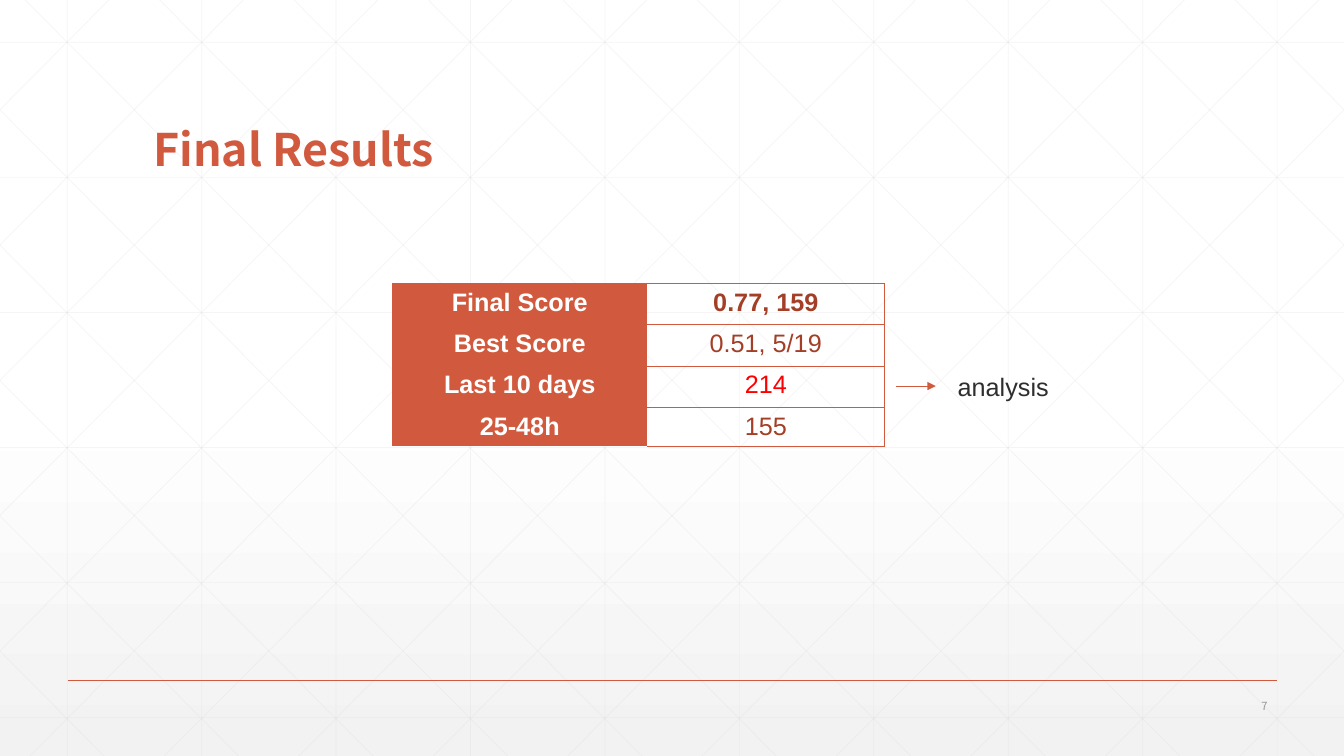
import copy

import lxml.etree
import pptx
import pptx.dml.color
import pptx.enum.dml
import pptx.enum.shapes
import pptx.enum.text
import pptx.oxml.ns
import pptx.util

Inches = pptx.util.Inches
Pt = pptx.util.Pt
qn = pptx.oxml.ns.qn
ALIGN = pptx.enum.text.PP_ALIGN
ANCHOR = pptx.enum.text.MSO_ANCHOR

WIDTH, HEIGHT = 13.33, 7.5
COLORS = {
    "accent": "D15A3E",
    "value": "A43F27",
    "alert": "FF0000",
    "text": "2D2E2D",
    "muted": "959795",
    "grid": "D9D9D9",
    "white": "FFFFFF",
    "shade": "F2F2F2",
}
BODY_FONT = "Arial"
HEADING_FONT = "Noto Sans CJK TC"
PLAIN_TABLE_STYLE = "{2D5ABB26-0587-4C30-8999-92F81FD0307C}"
RESULTS = [
    ("Final Score", "0.77, 159", "value", True),
    ("Best Score", "0.51, 5/19", "value", False),
    ("Last 10 days", "214", "alert", False),
    ("25-48h", "155", "value", False),
]


def rgb(name):
    """Return the named colour."""
    return pptx.dml.color.RGBColor.from_string(COLORS[name])


def add_run(paragraph, text, size, color, font=BODY_FONT, bold=False):
    """Add one formatted run."""
    run = paragraph.add_run()
    run.text = text
    run.font.name = font
    run.font.size = Pt(size)
    run.font.bold = bold
    run.font.color.rgb = rgb(color)
    properties = run.font._element
    lxml.etree.SubElement(properties, qn("a:ea")).set("typeface", font)


def add_line(slide, start, end, color, width, opacity=None, arrow=False):
    """Draw a straight line, optionally see-through or with an arrowhead."""
    line = slide.shapes.add_connector(
        pptx.enum.shapes.MSO_CONNECTOR.STRAIGHT,
        *(Inches(value) for value in (*start, *end)))
    line.line.color.rgb = rgb(color)
    line.line.width = Pt(width)
    properties = line.element.spPr
    if opacity is not None:
        fill_color = properties.find(".//" + qn("a:srgbClr"))
        alpha = lxml.etree.SubElement(fill_color, qn("a:alpha"))
        alpha.set("val", str(opacity * 1000))
    if arrow:
        outline = properties.find(qn("a:ln"))
        lxml.etree.SubElement(outline, qn("a:tailEnd")).set("type", "triangle")
    lxml.etree.SubElement(properties, qn("a:effectLst"))


def add_background(slide):
    """Fill the slide with white that fades to grey at the bottom."""
    fill = slide.background.fill
    fill.gradient()
    fill.gradient_angle = 270
    first = slide.element.find(".//" + qn("a:gs"))
    first.addnext(copy.deepcopy(first))
    stops = [(0, "white"), (0.53, "white"), (1, "shade")]
    for stop, (position, color) in zip(fill.gradient_stops, stops):
        stop.position = position
        stop.color.rgb = rgb(color)


def add_grid(slide, width, height):
    """Draw the faint lattice of uprights, levels and mirrored diagonals."""
    step, run = 4 / 3, 7.45
    lines = [((step * (i + 0.5), 0), (step * (i + 0.5), height))
             for i in range(10)]
    lines += [((0, 0.42 + 1.34 * i), (width, 0.42 + 1.34 * i))
              for i in range(6)]
    for i in range(-5, 10):
        origin = 0.25 + step * i
        left, right = max(origin, 0), min(origin + run, width)
        top, bottom = ((x - origin) * height / run for x in (left, right))
        lines.append(((left, top), (right, bottom)))
        lines.append(((width - left, top), (width - right, bottom)))
    for start, end in lines:
        add_line(slide, start, end, "grid", 0.5, opacity=25)


def add_title(slide, left, top, width, height):
    """Place the title placeholder in front of the lattice."""
    title = slide.shapes.title
    title.left, title.top = Inches(left), Inches(top)
    title.width, title.height = Inches(width), Inches(height)
    slide.shapes.element.append(title.element)
    title.text_frame.vertical_anchor = ANCHOR.BOTTOM
    paragraph = title.text_frame.paragraphs[0]
    paragraph.alignment = ALIGN.LEFT
    paragraph.line_spacing = 0.9
    add_run(paragraph, "Final Results", 32, "accent", HEADING_FONT, True)


def add_borders(cell, sides):
    """Give the cell thin accent borders on the sides, in L, R, T, B order."""
    properties = cell._tc.get_or_add_tcPr()
    for index, side in enumerate(sides):
        border = lxml.etree.Element(qn("a:ln" + side), w=str(Pt(0.5)))
        fill = lxml.etree.SubElement(border, qn("a:solidFill"))
        color = lxml.etree.SubElement(fill, qn("a:srgbClr"))
        color.set("val", COLORS["accent"])
        properties.insert(index, border)


def add_results(slide, left, top, width, height):
    """Add the table of scores: filled labels and outlined values."""
    frame = slide.shapes.add_table(
        len(RESULTS), 2, Inches(left), Inches(top),
        Inches(width), Inches(height))
    table = frame.table
    table.first_row = table.horz_banding = False
    frame.element.find(".//" + qn("a:tableStyleId")).text = PLAIN_TABLE_STYLE
    label_width, row_height = 2.53, 0.41
    table.columns[0].width = Inches(label_width)
    table.columns[1].width = Inches(width - label_width)
    last = len(RESULTS) - 1
    for index, (label, value, color, bold) in enumerate(RESULTS):
        table.rows[index].height = Inches(
            row_height if index < last else height - row_height * last)
        label_cell, value_cell = table.cell(index, 0), table.cell(index, 1)
        label_cell.fill.solid()
        label_cell.fill.fore_color.rgb = rgb("accent")
        value_cell.fill.background()
        add_borders(value_cell, "RTB")
        for cell, text, text_color, strong in (
                (label_cell, label, "white", True),
                (value_cell, value, color, bold)):
            paragraph = cell.text_frame.paragraphs[0]
            paragraph.alignment = ALIGN.CENTER
            add_run(paragraph, text, 18, text_color, bold=strong)


def add_text(slide, left, top, width, height, wrap):
    """Add an empty text box and return its text frame."""
    box = slide.shapes.add_textbox(
        Inches(left), Inches(top), Inches(width), Inches(height))
    box.text_frame.word_wrap = wrap
    return box.text_frame


def add_analysis(slide, left, top, width, height):
    """Add the arrow and the remark beside the table."""
    middle = top + height / 2
    add_line(slide, (left, middle), (left + 0.39, middle),
             "accent", 0.5, arrow=True)
    text_offset = 0.51
    frame = add_text(slide, left + text_offset, top,
                     width - text_offset, height, False)
    frame.auto_size = pptx.enum.text.MSO_AUTO_SIZE.SHAPE_TO_FIT_TEXT
    add_run(frame.paragraphs[0], "analysis", 18, "text")


def add_footer(slide, left, top, width, height):
    """Add the rule and, below its right end, the page number."""
    add_line(slide, (left, top), (left + width, top), "accent", 1)
    number_width, number_height = 1, 0.24
    frame = add_text(slide, left + width - number_width,
                     top + height - number_height,
                     number_width, number_height, True)
    frame.vertical_anchor = ANCHOR.MIDDLE
    paragraph = frame.paragraphs[0]
    paragraph.alignment = ALIGN.RIGHT
    add_run(paragraph, "7", 8, "muted", HEADING_FONT)


def build_results_slide(presentation):
    """Build the slide of final results."""
    slide = presentation.slides.add_slide(presentation.slide_layouts[5])
    add_background(slide)
    add_grid(slide, WIDTH, HEIGHT)
    add_footer(slide, 0.67, 6.75, 12, 0.37)
    add_title(slide, 1.42, 0.55, 10.5, 1.25)
    add_results(slide, 3.89, 2.81, 4.88, 1.62)
    add_analysis(slide, 8.89, 3.63, 1.62, 0.4)


presentation = pptx.Presentation()
presentation.slide_width = Inches(WIDTH)
presentation.slide_height = Inches(HEIGHT)
build_results_slide(presentation)
presentation.save("out.pptx")
